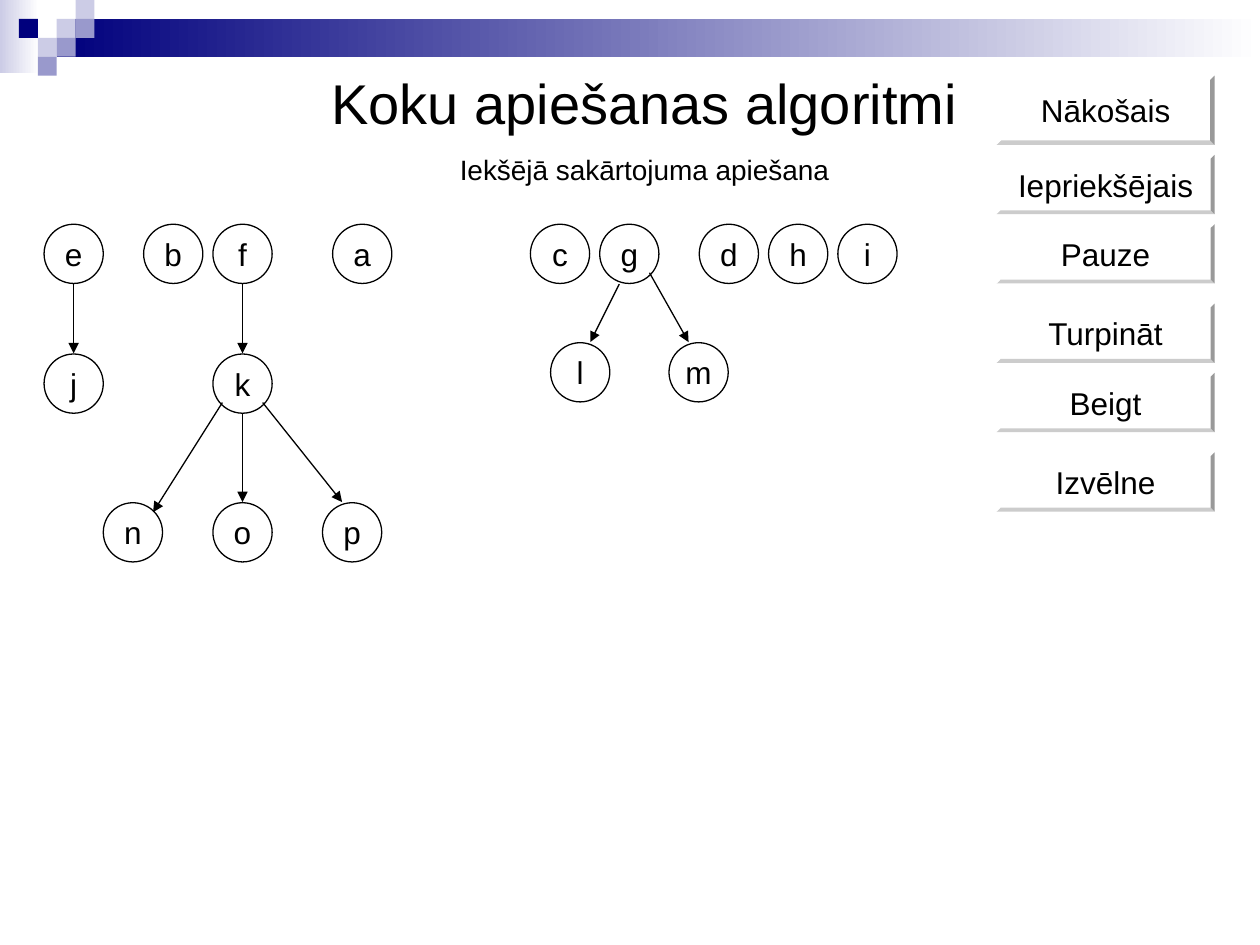
"""Build the slide on inorder tree traversal, with its forest and control buttons."""
from dataclasses import dataclass

from lxml.etree import SubElement
from pptx import Presentation
from pptx.dml.color import RGBColor
from pptx.enum.shapes import MSO_CONNECTOR, MSO_SHAPE
from pptx.enum.text import MSO_ANCHOR, MSO_AUTO_SIZE, PP_ALIGN
from pptx.oxml.ns import qn
from pptx.util import Inches, Pt


@dataclass(frozen=True)
class Theme:
    font: str = "Arial"
    ink: str = "000000"
    paper: str = "FFFFFF"
    navy: str = "00007D"
    violet: str = "9999CC"
    lilac: str = "CCCCE6"
    title_size: int = 32
    subtitle_size: int = 16
    label_size: int = 18
    line_width: float = 0.75


THEME = Theme()
TITLE = "Koku apiešanas algoritmi"
SUBTITLE = "Iekšējā sakārtojuma apiešana"

BANDS = [((0, 0, 0.31, 0.58), THEME.lilac), ((0.45, 0.15, 9.55, 0.3), THEME.navy)]
TILE = 0.15
TILES = [
    (3, 1, THEME.lilac), (4, 0, THEME.lilac), (4, 1, THEME.violet),
    (2, 2, THEME.lilac), (1, 1, THEME.navy), (3, 2, THEME.violet),
    (2, 3, THEME.violet),
]

BUTTON_LEFT, BUTTON_WIDTH = 7.91, 1.73
BUTTONS = [
    ("Nākošais", 0.6, 0.55), ("Iepriekšējais", 1.23, 0.47),
    ("Pauze", 1.78, 0.47), ("Turpināt", 2.41, 0.47),
    ("Beigt", 2.96, 0.47), ("Izvēlne", 3.59, 0.47),
]

NODE_SIZE = 0.47
NODE_ROWS = [
    (1.78, {"a": 2.64, "b": 1.14, "c": 4.21, "d": 5.55, "e": 0.35,
            "f": 1.69, "g": 4.76, "h": 6.1, "i": 6.65}),
    (2.81, {"j": 0.35, "k": 1.69}),
    (2.72, {"l": 4.37, "m": 5.31}),
    (3.99, {"n": 0.82, "o": 1.69, "p": 2.56}),
]
BOTTOM, TOP = (0, 0.24), (0, -0.24)
EDGES = [
    ("e", "j", BOTTOM, TOP),
    ("f", "k", BOTTOM, TOP),
    ("g", "l", (-0.08, 0.24), (0.08, -0.24)),
    ("g", "m", (0.16, 0.15), (-0.08, -0.24)),
    ("k", "n", (-0.16, 0.15), (0.16, -0.16)),
    ("k", "o", BOTTOM, TOP),
    ("k", "p", (0.16, 0.15), (-0.08, -0.24)),
]


def color(value):
    return RGBColor.from_string(value)


def format_paragraph(paragraph, size):
    paragraph.alignment = PP_ALIGN.CENTER
    paragraph.font.name = THEME.font
    paragraph.font.size = Pt(size)
    paragraph.font.color.rgb = color(THEME.ink)


def add_box(page, kind, bounds, fill):
    box = page.shapes.add_shape(kind, *map(Inches, bounds))
    box.shadow.inherit = False
    box.fill.solid()
    box.fill.fore_color.rgb = color(fill)
    box.line.fill.background()
    return box


def add_label(box, text):
    frame = box.text_frame
    frame.word_wrap = False
    frame.vertical_anchor = MSO_ANCHOR.MIDDLE
    frame.text = text
    format_paragraph(frame.paragraphs[0], THEME.label_size)


def add_decoration(page):
    for bounds, start in BANDS:
        band = add_box(page, MSO_SHAPE.RECTANGLE, bounds, start)
        band.fill.gradient()
        band.fill.gradient_angle = 0
        for stop, value in zip(band.fill.gradient_stops, (start, THEME.paper)):
            stop.color.rgb = color(value)
    for column, row, fill in TILES:
        bounds = (column * TILE, row * TILE, TILE, TILE)
        add_box(page, MSO_SHAPE.RECTANGLE, bounds, fill)


def add_heading(page):
    title = page.shapes.title
    title.left, title.top = Inches(1.77), Inches(0.44)
    title.width, title.height = Inches(6.69), Inches(1.04)
    frame = title.text_frame
    frame.auto_size = MSO_AUTO_SIZE.NONE
    frame.word_wrap = True
    frame.vertical_anchor = MSO_ANCHOR.TOP
    frame.margin_top = Inches(0.1)
    frame.text = f"{TITLE}\n{SUBTITLE}"
    heading, subtitle = frame.paragraphs
    format_paragraph(heading, THEME.title_size)
    format_paragraph(subtitle, THEME.subtitle_size)
    subtitle.space_before = Pt(10)


def add_buttons(page):
    for text, top, height in BUTTONS:
        bounds = (BUTTON_LEFT, top, BUTTON_WIDTH, height)
        button = add_box(page, MSO_SHAPE.BEVEL, bounds, THEME.paper)
        button.adjustments[0] = 0.065
        add_label(button, text)


def add_nodes(page):
    centers = {}
    for top, row in NODE_ROWS:
        for name, left in row.items():
            bounds = (left, top, NODE_SIZE, NODE_SIZE)
            node = add_box(page, MSO_SHAPE.OVAL, bounds, THEME.paper)
            node.line.color.rgb = color(THEME.ink)
            node.line.width = Pt(THEME.line_width)
            add_label(node, name)
            centers[name] = (left + NODE_SIZE / 2, top + NODE_SIZE / 2)
    return centers


def add_arrows(page, centers):
    for parent, child, leave, arrive in EDGES:
        start = [Inches(a + b) for a, b in zip(centers[parent], leave)]
        end = [Inches(a + b) for a, b in zip(centers[child], arrive)]
        arrow = page.shapes.add_connector(MSO_CONNECTOR.STRAIGHT, *start, *end)
        arrow.line.color.rgb = color(THEME.ink)
        arrow.line.width = Pt(THEME.line_width)
        SubElement(arrow.line._get_or_add_ln(), qn("a:tailEnd"), type="triangle")
        SubElement(arrow._element.spPr, qn("a:effectLst"))


def main():
    deck = Presentation()
    deck.slide_width, deck.slide_height = Inches(10), Inches(7.5)
    page = deck.slides.add_slide(deck.slide_layouts[5])
    add_decoration(page)
    add_heading(page)
    add_buttons(page)
    add_arrows(page, add_nodes(page))
    deck.save("out.pptx")


if __name__ == "__main__":
    main()
